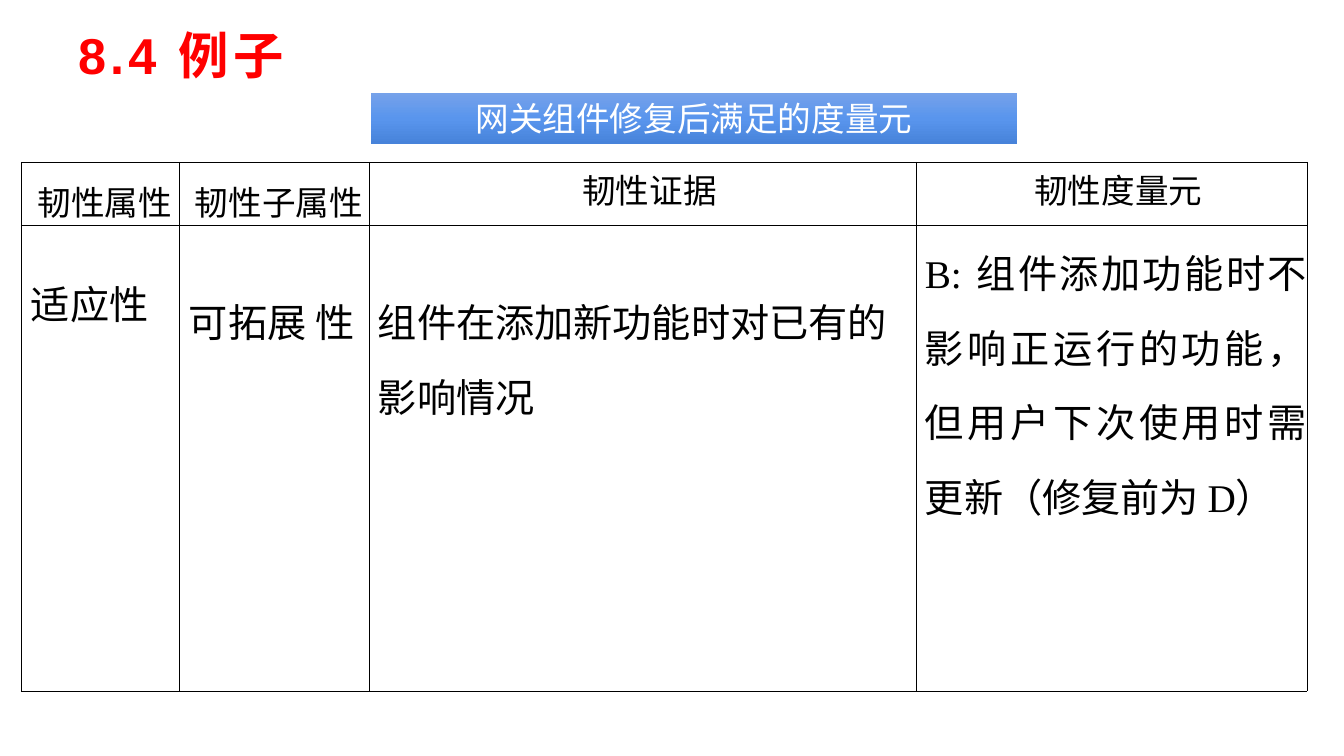
from copy import deepcopy

from lxml import etree
from pptx import Presentation
from pptx.dml.color import RGBColor
from pptx.enum.shapes import MSO_SHAPE
from pptx.enum.text import MSO_ANCHOR, PP_ALIGN
from pptx.oxml import parse_xml
from pptx.oxml.ns import nsdecls, qn
from pptx.util import Pt

LEFT, CENTER, JUSTIFY = PP_ALIGN.LEFT, PP_ALIGN.CENTER, PP_ALIGN.JUSTIFY
MIDDLE = MSO_ANCHOR.MIDDLE
RECTANGLE = MSO_SHAPE.RECTANGLE
CJK_FONT = "Noto Sans CJK SC"
COLORS = {
    "title": "FF0000",
    "text": "000000",
    "border": "000000",
    "banner_text": "FFFFFF",
    "banner_top": "76A2EA",
    "banner_middle": "5995ED",
    "banner_bottom": "4783DA",
}


def px(length):
    return round(length * 914400 / 100.8)


def write(paragraph, text, size, color, latin, align, bold=False):
    paragraph.text = text
    paragraph.alignment = align
    run = paragraph.runs[0]
    run.font.size = Pt(size)
    run.font.bold = bold
    run.font.name = latin
    run.font.color.rgb = RGBColor.from_string(COLORS[color])
    east_asian = etree.SubElement(run.font._element, qn("a:ea"))
    east_asian.set("typeface", CJK_FONT)
    return run


prs = Presentation()
prs.slide_width, prs.slide_height = px(1344), px(756)
slide = prs.slides.add_slide(prs.slide_layouts[5])

title = slide.shapes.title
title.left, title.top, title.width, title.height = px(68), px(15), px(1210), px(78)
title.text_frame.vertical_anchor = MIDDLE
heading = write(title.text_frame.paragraphs[0], "8.4 例子", 36, "title", "Arial", LEFT, True)
heading.font._element.set("spc", "300")

COLUMN_WIDTHS = [158, 190, 547, 391]
ROW_HEIGHTS = [63, 466]
ROWS = [
    [
        ("韧性属性", CENTER, 1.29, 10, 0),
        ("韧性子属性", CENTER, 1.29, 10, 0),
        ("韧性证据", CENTER, 1.02, 14, 2),
        ("韧性度量元", CENTER, 1.02, 14, 2),
    ],
    [
        ("适应性", LEFT, 1.0, 10, 49),
        ("可拓展 性", LEFT, 1.33, 10, 49),
        ("组件在添加新功能时对已有的影响情况", LEFT, 1.32, 9, 49),
        ("B: 组件添加功能时不影响正运行的功能，但用户下次使用时需更新（修复前为 D）", JUSTIFY, 1.32, 9, 0),
    ],
]
TEXT_SIZES = [24, 28]

metrics = slide.shapes.add_table(
    len(ROWS), len(COLUMN_WIDTHS), px(21), px(162), px(sum(COLUMN_WIDTHS)), px(sum(ROW_HEIGHTS))
).table
metrics.first_row = False
metrics.horz_banding = False
for column, width in zip(metrics.columns, COLUMN_WIDTHS):
    column.width = px(width)
for row, height, entries, size in zip(metrics.rows, ROW_HEIGHTS, ROWS, TEXT_SIZES):
    row.height = px(height)
    for cell, (text, align, spacing, left, top) in zip(row.cells, entries):
        cell.margin_left, cell.margin_top = px(left), px(top)
        cell.margin_right = cell.margin_bottom = 0
        paragraph = cell.text_frame.paragraphs[0]
        write(paragraph, text, size, "text", "Times New Roman", align)
        paragraph.line_spacing = spacing
        cell_properties = cell._tc.get_or_add_tcPr()
        for side in ("lnL", "lnR", "lnT", "lnB"):
            cell_properties.append(parse_xml(
                f'<a:{side} {nsdecls("a")} w="3175"><a:solidFill>'
                f'<a:srgbClr val="{COLORS["border"]}"/></a:solidFill></a:{side}>'
            ))
        cell.fill.background()

banner = slide.shapes.add_shape(RECTANGLE, px(371), px(93), px(646), px(51))
banner.shadow.inherit = False
banner.line.fill.background()
banner.fill.gradient()
banner.fill.gradient_angle = 270
first_stop = banner.fill.gradient_stops[0]._gs
first_stop.addnext(deepcopy(first_stop))
for stop, position, name in zip(
    banner.fill.gradient_stops, (0, 0.5, 1), ("banner_top", "banner_middle", "banner_bottom")
):
    stop.position = position
    stop.color.rgb = RGBColor.from_string(COLORS[name])
banner.text_frame.word_wrap = True
banner.text_frame.vertical_anchor = MIDDLE
write(banner.text_frame.paragraphs[0], "网关组件修复后满足的度量元", 24, "banner_text", "Arial", CENTER)

prs.save("out.pptx")
